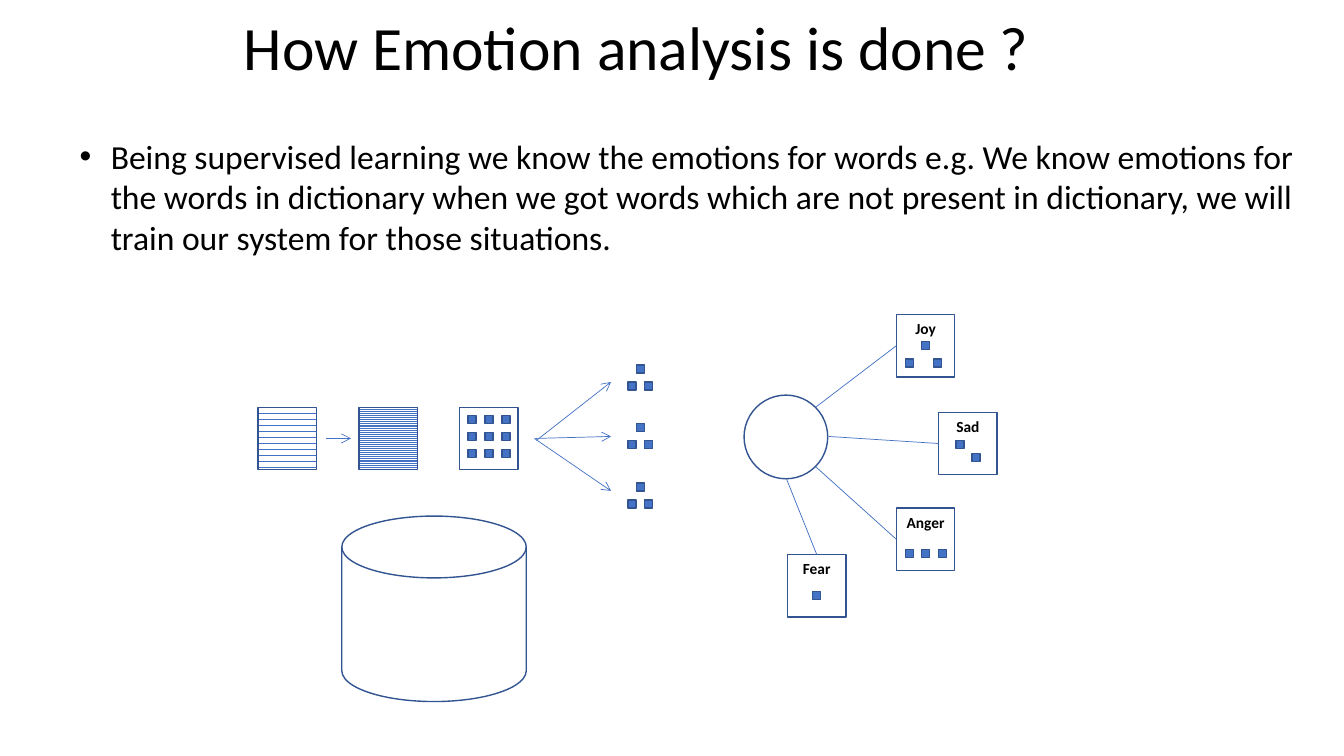
from dataclasses import dataclass
from itertools import product

from lxml import etree
from pptx import Presentation
from pptx.dml.color import RGBColor
from pptx.enum.dml import MSO_PATTERN as Pattern
from pptx.enum.shapes import MSO_CONNECTOR as Connector, MSO_SHAPE as Preset
from pptx.enum.text import MSO_ANCHOR as Anchor, PP_ALIGN as Align
from pptx.oxml.ns import qn
from pptx.shapes.autoshape import Shape
from pptx.slide import Slide
from pptx.text.text import _Paragraph as Paragraph
from pptx.util import Inches, Pt

Point = tuple[float, float]


@dataclass(frozen=True)
class Theme:
    font: str = "Calibri"
    text: RGBColor = RGBColor(0, 0, 0)
    paper: RGBColor = RGBColor(255, 255, 255)
    accent: RGBColor = RGBColor.from_string("4472C4")
    outline: RGBColor = RGBColor.from_string("325491")
    title_size: Pt = Pt(44)
    body_size: Pt = Pt(24)
    label_size: Pt = Pt(11)
    outline_width: Pt = Pt(1)
    connector_width: Pt = Pt(0.5)


@dataclass(frozen=True)
class Emotion:
    name: str
    corner: Point
    circle_end: Point
    card_end: Point
    words: tuple[Point, ...]


THEME = Theme()
CARD_WIDTH, CARD_HEIGHT = 0.58, 0.62
WORD_SIZE = 0.08
LABEL_HEIGHT = 0.29
STAGE_TOP = 4.04
BULLET_INDENT = 0.31

BODY_TEXT = (
    "Being supervised learning we know the emotions for words e.g. We know emotions for "
    "the words in dictionary when we got words which are not present in dictionary, "
    "we will train our system for those situations."
)

EMOTIONS = (
    Emotion("Joy", (8.89, 3.12), (8.09, 4.04), (8.89, 3.43), ((0.09, 0.44), (0.37, 0.44), (0.25, 0.27))),
    Emotion("Sad", (9.31, 4.09), (8.22, 4.33), (9.31, 4.4), ((0.17, 0.28), (0.33, 0.41))),
    Emotion("Anger", (8.89, 5.04), (8.09, 4.63), (8.89, 5.35), ((0.09, 0.41), (0.25, 0.41), (0.42, 0.41))),
    Emotion("Fear", (7.81, 5.5), (7.8, 4.75), (8.1, 5.5), ((0.25, 0.37),)),
)

GROUP_TOPS = (3.62, 4.2, 4.79)
GROUP_WORDS = ((6.31, 0), (6.23, 0.17), (6.39, 0.17))
ARROWS = (
    ((3.23, 4.35), (3.48, 4.35)),
    ((5.32, 4.37), (6.06, 3.79)),
    ((5.31, 4.35), (6.06, 4.33)),
    ((5.3, 4.35), (6.06, 4.87)),
)


def style_text(paragraph: Paragraph, size: Pt, bold: bool = False) -> None:
    paragraph.font.name = THEME.font
    paragraph.font.size = size
    paragraph.font.bold = bold
    paragraph.font.color.rgb = THEME.text


def add_outline(slide: Slide, preset: Preset, corner: Point, width: float, height: float) -> Shape:
    left, top = corner
    shape = slide.shapes.add_shape(preset, Inches(left), Inches(top), Inches(width), Inches(height))
    shape.shadow.inherit = False
    shape.fill.background()
    shape.line.color.rgb = THEME.outline
    shape.line.width = THEME.outline_width
    return shape


def add_card(slide: Slide, corner: Point) -> Shape:
    return add_outline(slide, Preset.RECTANGLE, corner, CARD_WIDTH, CARD_HEIGHT)


def add_word(slide: Slide, corner: Point) -> None:
    word = add_outline(slide, Preset.RECTANGLE, corner, WORD_SIZE, WORD_SIZE)
    word.fill.solid()
    word.fill.fore_color.rgb = THEME.accent


def add_document(slide: Slide, corner: Point, pattern: Pattern) -> None:
    document = add_card(slide, corner)
    document.fill.patterned()
    document.fill.pattern = pattern
    document.fill.fore_color.rgb = THEME.accent
    document.fill.back_color.rgb = THEME.paper


def add_line(slide: Slide, start: Point, end: Point, arrow: bool = False) -> None:
    ends = [Inches(value) for value in (*start, *end)]
    connector = slide.shapes.add_connector(Connector.STRAIGHT, *ends)
    connector.line.color.rgb = THEME.accent
    connector.line.width = THEME.connector_width
    if arrow:
        etree.SubElement(connector.line._get_or_add_ln(), qn("a:tailEnd"), type="arrow")
    etree.SubElement(connector._element.spPr, qn("a:effectLst"))


def add_text(slide: Slide, corner: Point, width: float, height: float, text: str) -> Shape:
    left, top = corner
    box = slide.shapes.add_textbox(Inches(left), Inches(top), Inches(width), Inches(height))
    box.text_frame.word_wrap = True
    box.text_frame.text = text
    return box


def add_title(slide: Slide) -> None:
    title = slide.shapes.title
    title.left, title.top = Inches(1), Inches(0.04)
    title.width, title.height = Inches(10.63), Inches(0.92)
    title.text_frame.text = "How Emotion analysis is done ?"
    title.text_frame.vertical_anchor = Anchor.MIDDLE
    paragraph = title.text_frame.paragraphs[0]
    paragraph.alignment = Align.CENTER
    paragraph.line_spacing = 0.9
    style_text(paragraph, THEME.title_size)


def add_body(slide: Slide) -> None:
    body = add_text(slide, (0.69, 1.3), 12.45, 1.31, BODY_TEXT)
    paragraph = body.text_frame.paragraphs[0]
    style_text(paragraph, THEME.body_size)
    properties = paragraph._p.get_or_add_pPr()
    properties.set("marL", str(Inches(BULLET_INDENT)))
    properties.set("indent", str(-Inches(BULLET_INDENT)))
    bullet_font = etree.Element(qn("a:buFont"), typeface="Arial")
    bullet = etree.Element(qn("a:buChar"), char="•")
    defaults = properties.find(qn("a:defRPr"))
    defaults.addprevious(bullet_font)
    defaults.addprevious(bullet)


def add_pipeline(slide: Slide) -> None:
    add_document(slide, (2.56, STAGE_TOP), Pattern.DASHED_HORIZONTAL)
    add_document(slide, (3.56, STAGE_TOP), Pattern.LIGHT_HORIZONTAL)
    add_outline(slide, Preset.FLOWCHART_MAGNETIC_DISK, (3.39, 5.12), 1.83, 1.84)
    add_card(slide, (4.56, STAGE_TOP))
    for row, column in product(range(3), repeat=2):
        add_word(slide, (4.64 + 0.17 * column, 4.12 + 0.17 * row))
    for top, (left, drop) in product(GROUP_TOPS, GROUP_WORDS):
        add_word(slide, (left, top + drop))
    for start, end in ARROWS:
        add_line(slide, start, end, arrow=True)


def add_emotion(slide: Slide, emotion: Emotion) -> None:
    left, top = emotion.corner
    add_card(slide, emotion.corner)
    add_line(slide, emotion.circle_end, emotion.card_end)
    label = add_text(slide, emotion.corner, CARD_WIDTH, LABEL_HEIGHT, emotion.name)
    label.text_frame.margin_left = label.text_frame.margin_right = 0
    paragraph = label.text_frame.paragraphs[0]
    paragraph.alignment = Align.CENTER
    style_text(paragraph, THEME.label_size, bold=True)
    for across, down in emotion.words:
        add_word(slide, (left + across, top + down))


def main() -> None:
    presentation = Presentation()
    presentation.slide_width, presentation.slide_height = Inches(13.33), Inches(7.5)
    slide = presentation.slides.add_slide(presentation.slide_layouts[5])
    add_title(slide)
    add_body(slide)
    add_pipeline(slide)
    add_outline(slide, Preset.OVAL, (7.38, 3.92), 0.83, 0.83)
    for emotion in EMOTIONS:
        add_emotion(slide, emotion)
    presentation.save("out.pptx")


main()
